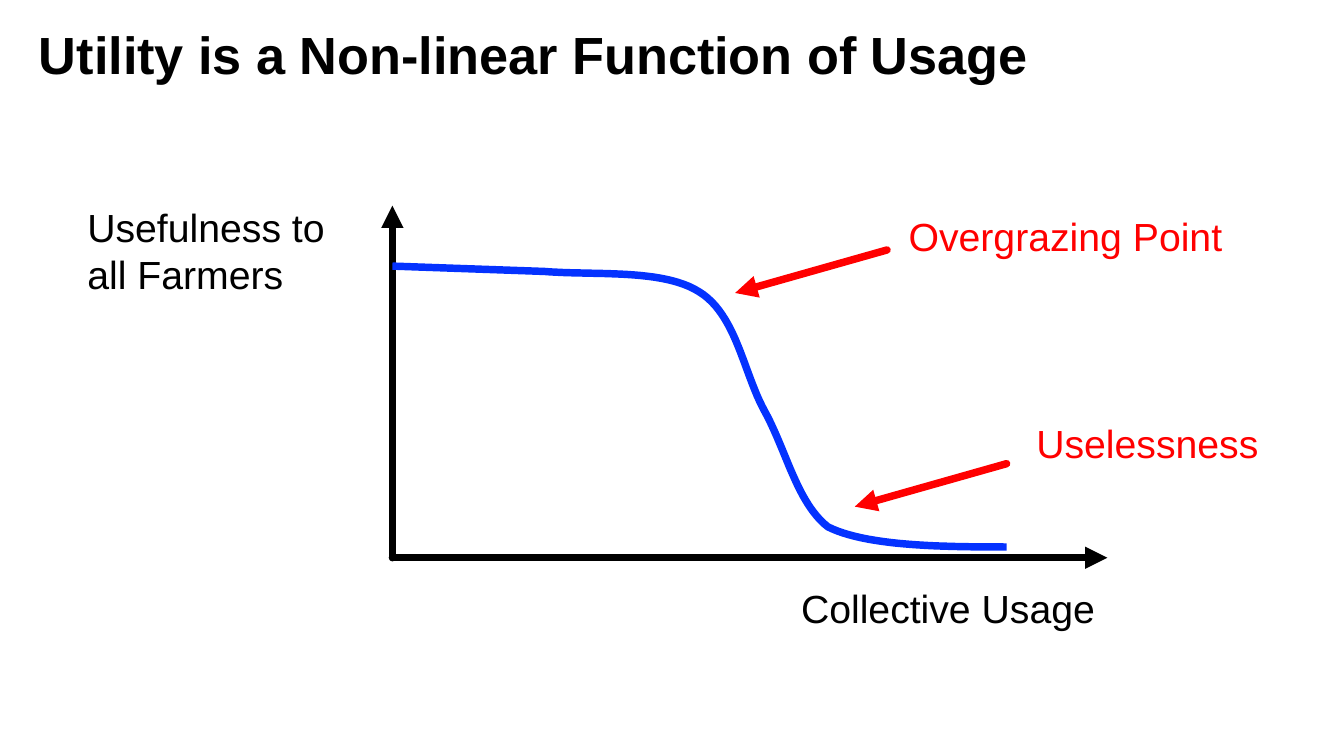
from lxml.etree import SubElement
from pptx import Presentation
from pptx.dml.color import RGBColor
from pptx.enum.shapes import MSO_CONNECTOR
from pptx.enum.text import MSO_ANCHOR, MSO_AUTO_SIZE, PP_ALIGN
from pptx.oxml.ns import qn
from pptx.util import Inches, Pt

COLORS = {"black": "000000", "blue": "0432FF", "red": "FF0000"}
STEPS = 24


def write(shape, lines, size, color, inset, bold=False):
    frame = shape.text_frame
    frame.text = "\n".join(lines)
    form = {
        "word_wrap": True,
        "auto_size": MSO_AUTO_SIZE.SHAPE_TO_FIT_TEXT,
        "vertical_anchor": MSO_ANCHOR.TOP,
        "margin_left": Inches(inset[0]),
        "margin_right": Inches(inset[0]),
        "margin_top": Inches(inset[1]),
        "margin_bottom": Inches(inset[1]),
    }
    for name, value in form.items():
        setattr(frame, name, value)
    for par in frame.paragraphs:
        par.alignment = PP_ALIGN.LEFT
        for name, value in {"name": "Arial", "size": Pt(size), "bold": bold}.items():
            setattr(par.font, name, value)
        par.font.color.rgb = RGBColor.from_string(COLORS[color])


def ink(line, color):
    line.color.rgb = RGBColor.from_string(COLORS[color])
    line.width = Pt(4)


deck = Presentation()
deck.slide_width, deck.slide_height = Inches(10), Inches(10 * 9 / 16)
slide = deck.slides.add_slide(deck.slide_layouts[5])

title = slide.shapes.title
place = {"left": 0.29, "top": 0.22, "width": 7.88, "height": 0.42}
for name, value in place.items():
    setattr(title, name, Inches(value))
write(title, ["Utility is a Non-linear Function of Usage"], 28, "black", (0, 0), True)
title.text_frame.paragraphs[0].line_spacing = 0.9

# Axes share an origin; both pointers share one slope
origin = (2.92, 4.15)
arrows = [(origin, (2.92, 1.53), "black"), (origin, (8.24, 4.15), "black")]
for x, y in [(6.6, 1.86), (7.49, 3.45)]:
    arrows.append(((x, y), (x - 1.13, y + 0.32), "red"))
for start, end, color in arrows:
    ends = [Inches(v) for v in start + end]
    arrow = slide.shapes.add_connector(MSO_CONNECTOR.STRAIGHT, *ends)
    ink(arrow.line, color)
    stroke = arrow.get_or_add_ln()
    stroke.set("cap", "rnd")
    SubElement(stroke, qn("a:round"))
    SubElement(stroke, qn("a:tailEnd"), type="triangle")
    SubElement(arrow._element.spPr, qn("a:effectLst"))

# Utility curve: a straight start, then cubic Bezier spans
points = [(2.92, 1.98), (4.05, 2.02)]
spans = [
    [(4.43, 2.05), (4.93, 2.0), (5.2, 2.17)],
    [(5.48, 2.34), (5.53, 2.77), (5.69, 3.06)],
    [(5.85, 3.35), (5.93, 3.74), (6.16, 3.92)],
    [(6.44, 4.06), (6.97, 4.07), (7.49, 4.07)],
]
for span in spans:
    knots = [points[-1], *span]
    for step in range(1, STEPS + 1):
        t = step / STEPS
        u = 1 - t
        mix = (u**3, 3 * u * u * t, 3 * u * t * t, t**3)
        points.append(tuple(sum(m * k[i] for m, k in zip(mix, knots)) for i in (0, 1)))
dots = [(Inches(x), Inches(y)) for x, y in points]
pen = slide.shapes.build_freeform(*dots[0])
pen.add_line_segments(dots[1:], close=False)
curve = pen.convert_to_shape()
curve.fill.background()
curve.shadow.inherit = False
ink(curve.line, "blue")

labels = [
    (["Usefulness to", "all Farmers"], "black", (0.58, 1.47, 1.94, 0.78)),
    (["Collective Usage"], "black", (5.89, 4.31, 2.37, 0.43)),
    (["Overgrazing Point"], "red", (6.69, 1.54, 2.51, 0.43)),
    (["Uselessness"], "red", (7.64, 3.08, 1.82, 0.43)),
]
for lines, color, spot in labels:
    box = slide.shapes.add_textbox(*[Inches(v) for v in spot])
    write(box, lines, 21, color, (0.07, 0.04))

deck.save("out.pptx")
